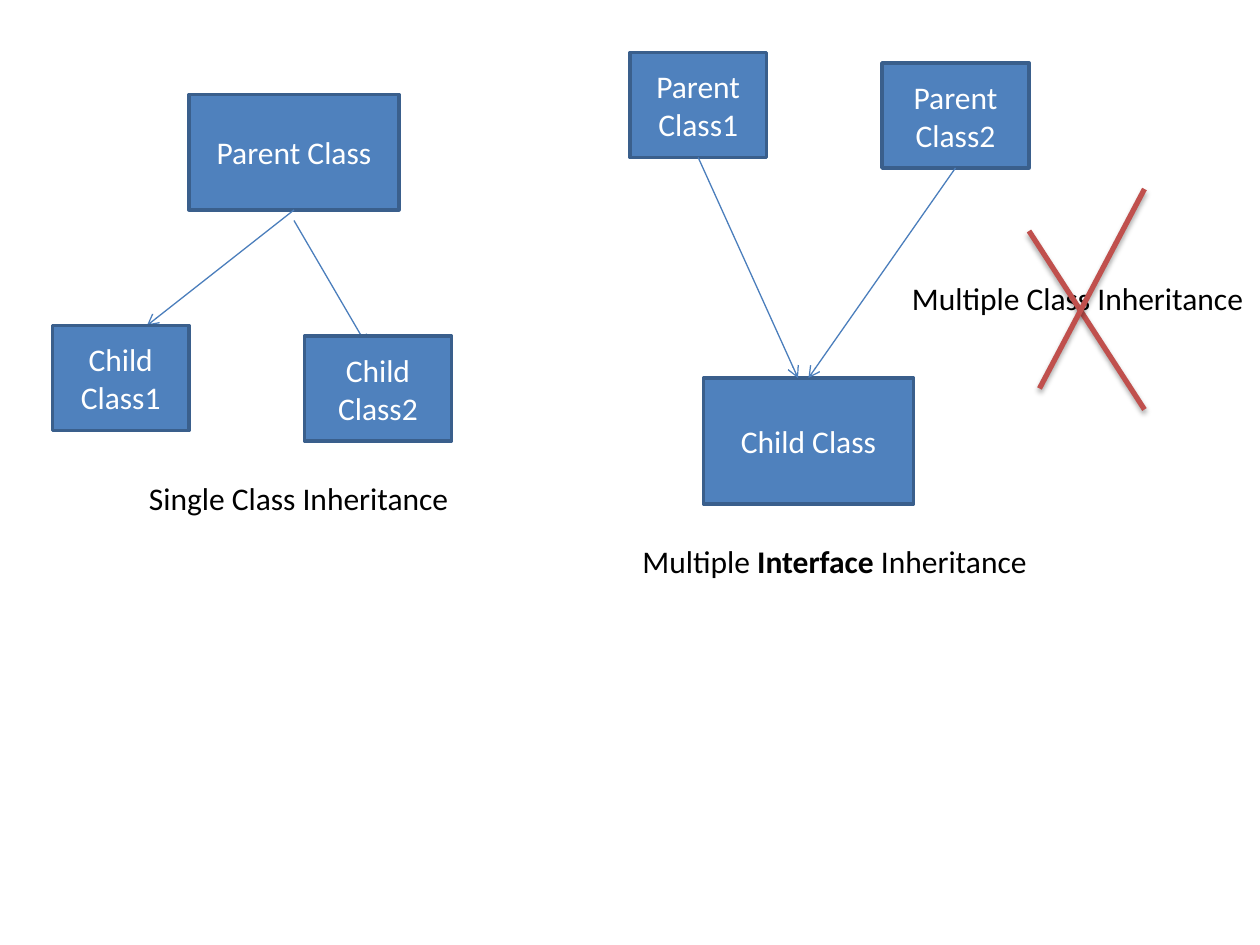
from lxml.etree import SubElement
from pptx import Presentation
from pptx.dml.color import RGBColor
from pptx.enum.shapes import MSO_CONNECTOR as Connector, MSO_SHAPE as Shape
from pptx.enum.text import MSO_ANCHOR as Anchor, MSO_AUTO_SIZE as AutoSize, PP_ALIGN as Align
from pptx.oxml.ns import qn
from pptx.util import Pt

BOX_FILL = RGBColor(0x4F, 0x81, 0xBD)
BOX_LINE = RGBColor(0x3A, 0x5F, 0x8C)
ARROW_BLUE = RGBColor(0x4B, 0x7E, 0xBC)
CROSS_RED = RGBColor(0xC0, 0x50, 0x4D)
WHITE = RGBColor(0xFF, 0xFF, 0xFF)
BLACK = RGBColor(0x00, 0x00, 0x00)

FONT = {"name": "Calibri", "size": Pt(18)}
BOX_FRAME = {"word_wrap": True, "vertical_anchor": Anchor.MIDDLE}
LABEL_FRAME = {"word_wrap": False, "auto_size": AutoSize.SHAPE_TO_FIT_TEXT}
SHADOW = {"blurRad": Pt(3.1), "dist": Pt(1.8), "dir": 90 * 60000, "rotWithShape": 0}
BOTTOM, TOP = 2, 0


def apply_format(target, values):
    for name, value in values.items():
        setattr(target, name, value)


def format_font(font, color, **extra):
    apply_format(font, {**FONT, **extra})
    font.color.rgb = color


def add_box(slide, text, left, top, width, height):
    box = slide.shapes.add_shape(Shape.RECTANGLE, Pt(left), Pt(top), Pt(width), Pt(height))
    box.shadow.inherit = False
    box.fill.solid()
    box.fill.fore_color.rgb = BOX_FILL
    box.line.color.rgb = BOX_LINE
    box.line.width = Pt(2)
    apply_format(box.text_frame, BOX_FRAME)
    box.text_frame.text = text
    for paragraph in box.text_frame.paragraphs:
        paragraph.alignment = Align.CENTER
        format_font(paragraph.runs[0].font, WHITE)
    return box


def add_label(slide, runs, left, top, width):
    label = slide.shapes.add_textbox(Pt(left), Pt(top), Pt(width), Pt(29))
    apply_format(label.text_frame, LABEL_FRAME)
    paragraph = label.text_frame.paragraphs[0]
    for text, bold in runs:
        run = paragraph.add_run()
        run.text = text
        format_font(run.font, BLACK, bold=bold)


def add_line(slide, start, end, color, width):
    points = [Pt(value) for value in (*start, *end)]
    line = slide.shapes.add_connector(Connector.STRAIGHT, *points)
    line.line.color.rgb = color
    line.line.width = Pt(width)
    effects = SubElement(line._element.spPr, qn("a:effectLst"))
    return line, effects


def add_arrow(slide, start, end, source=None, target=None):
    arrow, _ = add_line(slide, start, end, ARROW_BLUE, 0.75)
    SubElement(arrow.line._get_or_add_ln(), qn("a:tailEnd"), type="arrow")
    if source is not None:
        arrow.begin_connect(source, BOTTOM)
    if target is not None:
        arrow.end_connect(target, TOP)


def add_cross_stroke(slide, start, end):
    _, effects = add_line(slide, start, end, CROSS_RED, 3)
    attributes = {name: str(value) for name, value in SHADOW.items()}
    shadow = SubElement(effects, qn("a:outerShdw"), attributes)
    color = SubElement(shadow, qn("a:srgbClr"), val=str(BLACK))
    SubElement(color, qn("a:alpha"), val="35000")


def add_single_inheritance(slide):
    parent = add_box(slide, "Parent Class", 108, 54, 120, 66)
    add_arrow(slide, (168, 120), (84, 186), source=parent)
    add_arrow(slide, (168, 126), (210, 198))
    add_box(slide, "Child Class1", 30, 186, 78, 60)
    add_box(slide, "Child Class2", 174, 192, 84, 60)
    add_label(slide, [("Single Class Inheritance", False)], 78, 270, 188)


def add_multiple_inheritance(slide):
    first_parent = add_box(slide, "Parent\nClass1", 360, 30, 78, 60)
    second_parent = add_box(slide, "Parent Class2", 504, 36, 84, 60)
    child = add_box(slide, "Child Class", 402, 216, 120, 72)
    add_arrow(slide, (399, 90), (456, 216), source=first_parent)
    add_arrow(slide, (546, 96), (462, 216), source=second_parent, target=child)
    add_label(slide, [("Multiple Class Inheritance", False)], 514, 156, 206)
    add_cross_stroke(slide, (588, 132), (654, 234))
    add_cross_stroke(slide, (654, 108), (594, 222))
    interface_runs = [("Multiple", False), (" Interface ", True), ("Inheritance", False)]
    add_label(slide, interface_runs, 360, 306, 235.4)


def main():
    presentation = Presentation()
    apply_format(presentation, {"slide_width": Pt(720), "slide_height": Pt(540)})
    slide = presentation.slides.add_slide(presentation.slide_layouts[6])
    add_single_inheritance(slide)
    add_multiple_inheritance(slide)
    presentation.save("out.pptx")


if __name__ == "__main__":
    main()
